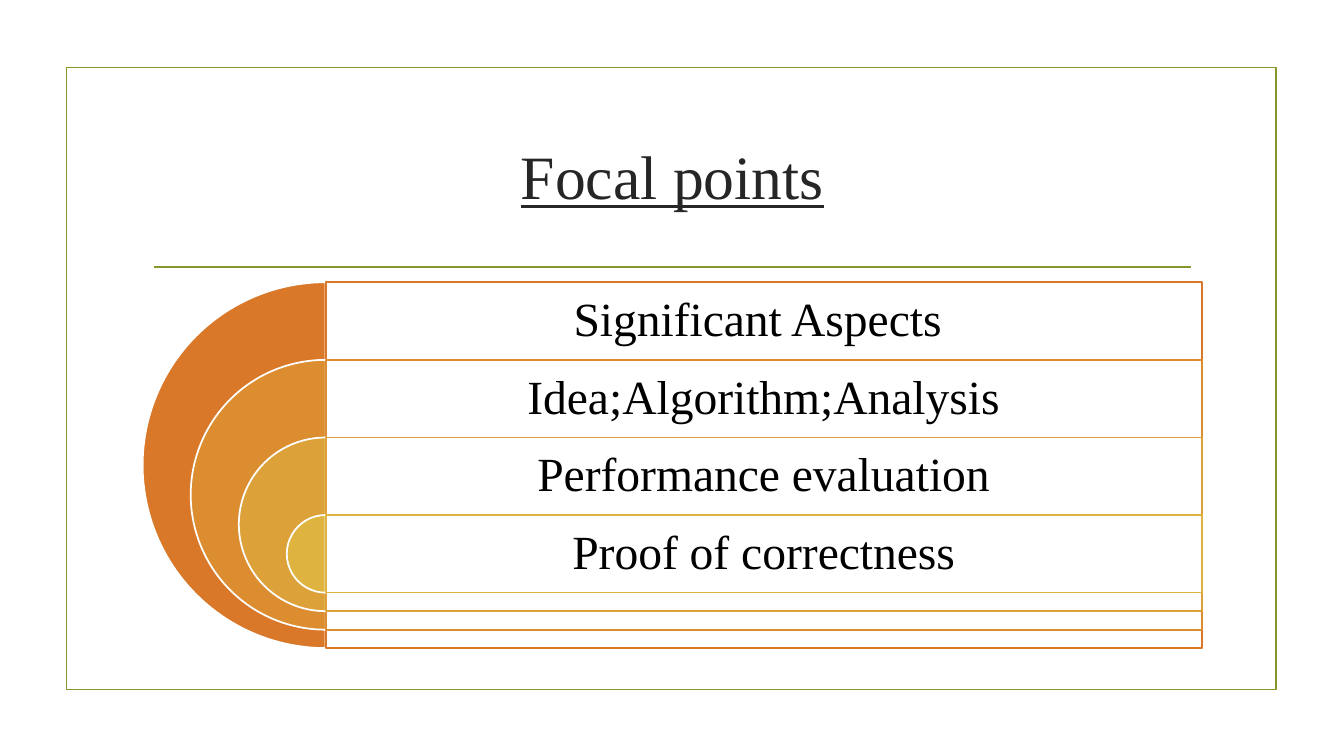
"""Build the "Focal points" slide with its nested half-circle diagram."""
from lxml import etree
from pptx import Presentation
from pptx.dml.color import RGBColor
from pptx.enum.shapes import MSO_CONNECTOR, MSO_SHAPE
from pptx.enum.text import MSO_ANCHOR, PP_ALIGN
from pptx.oxml.ns import qn
from pptx.util import Inches, Pt

PIE, RECTANGLE = MSO_SHAPE.PIE, MSO_SHAPE.RECTANGLE
STRAIGHT = MSO_CONNECTOR.STRAIGHT
MIDDLE, CENTER = MSO_ANCHOR.MIDDLE, PP_ALIGN.CENTER

WHITE = RGBColor(0xFF, 0xFF, 0xFF)
BLACK = RGBColor(0x00, 0x00, 0x00)
CHARCOAL = RGBColor(0x26, 0x26, 0x26)
OLIVE = RGBColor(0x83, 0x99, 0x2A)
FONT = "Times New Roman"
LINE_WIDTH = Pt(1.25)

LEVELS = [
    ("Significant Aspects ", RGBColor(0xD9, 0x78, 0x28)),
    ("Idea;Algorithm;Analysis", RGBColor(0xDB, 0x8D, 0x30)),
    ("Performance evaluation", RGBColor(0xDC, 0xA1, 0x38)),
    ("Proof of correctness", RGBColor(0xDE, 0xB3, 0x40)),
]
DIAGRAM_TOP, ROW_HEIGHT = 2.8, 0.77
PIE_CENTER, PANEL_WIDTH = 3.23, 8.69
OUTER_DIAMETER = 3.63
DIAMETER_STEP = (OUTER_DIAMETER - ROW_HEIGHT) / (len(LEVELS) - 1)

deck = Presentation()
deck.slide_width, deck.slide_height = Inches(13.33), Inches(7.5)
page = deck.slides.add_slide(deck.slide_layouts[6])


def add_outlined(kind, left, top, width, height, line_color, fill_color=None):
    shape = page.shapes.add_shape(
        kind, Inches(left), Inches(top), Inches(width), Inches(height))
    shape.shadow.inherit = False
    shape.line.color.rgb = line_color
    shape.line.width = LINE_WIDTH
    if fill_color is None:
        shape.fill.background()
    else:
        shape.fill.solid()
        shape.fill.fore_color.rgb = fill_color
    return shape


def add_label(text, left, top, width, height, inset, size, color):
    box = page.shapes.add_textbox(
        Inches(left), Inches(top), Inches(width), Inches(height))
    frame = box.text_frame
    frame.word_wrap = True
    frame.vertical_anchor = MIDDLE
    frame.margin_left = frame.margin_right = Inches(inset)
    frame.margin_top = frame.margin_bottom = Inches(inset)
    para = frame.paragraphs[0]
    para.alignment = CENTER
    para.line_spacing = 0.9
    span = para.add_run()
    span.text = text
    span.font.name = FONT
    span.font.size = Pt(size)
    span.font.color.rgb = color
    return span


add_outlined(RECTANGLE, 0.66, 0.67, 12, 6.17, OLIVE)

divider = page.shapes.add_connector(
    STRAIGHT, Inches(1.53), Inches(2.65), Inches(11.81), Inches(2.65))
divider.line.color.rgb = OLIVE
divider.line.width = LINE_WIDTH
etree.SubElement(divider.line._get_or_add_ln().getparent(), qn("a:effectLst"))

title = add_label("Focal points", 1.42, 1.07, 10.5, 1.43, 0.05, 44, CHARCOAL)
title.font.underline = True

for index, (text, color) in enumerate(LEVELS):
    top = DIAGRAM_TOP + index * ROW_HEIGHT
    diameter = OUTER_DIAMETER - index * DIAMETER_STEP
    half_circle = add_outlined(
        PIE, PIE_CENTER - diameter / 2, top, diameter, diameter, WHITE, color)
    half_circle.adjustments[0] = 54
    half_circle.adjustments[1] = 162

    panel = add_outlined(
        RECTANGLE, PIE_CENTER, top, PANEL_WIDTH, diameter, color, WHITE)
    panel_color = panel.fill._xPr.find(qn("a:solidFill"))[0]
    etree.SubElement(panel_color, qn("a:alpha"), val="90000")

    add_label(text, PIE_CENTER, top, PANEL_WIDTH, ROW_HEIGHT, 0.14, 34, BLACK)

deck.save("out.pptx")
